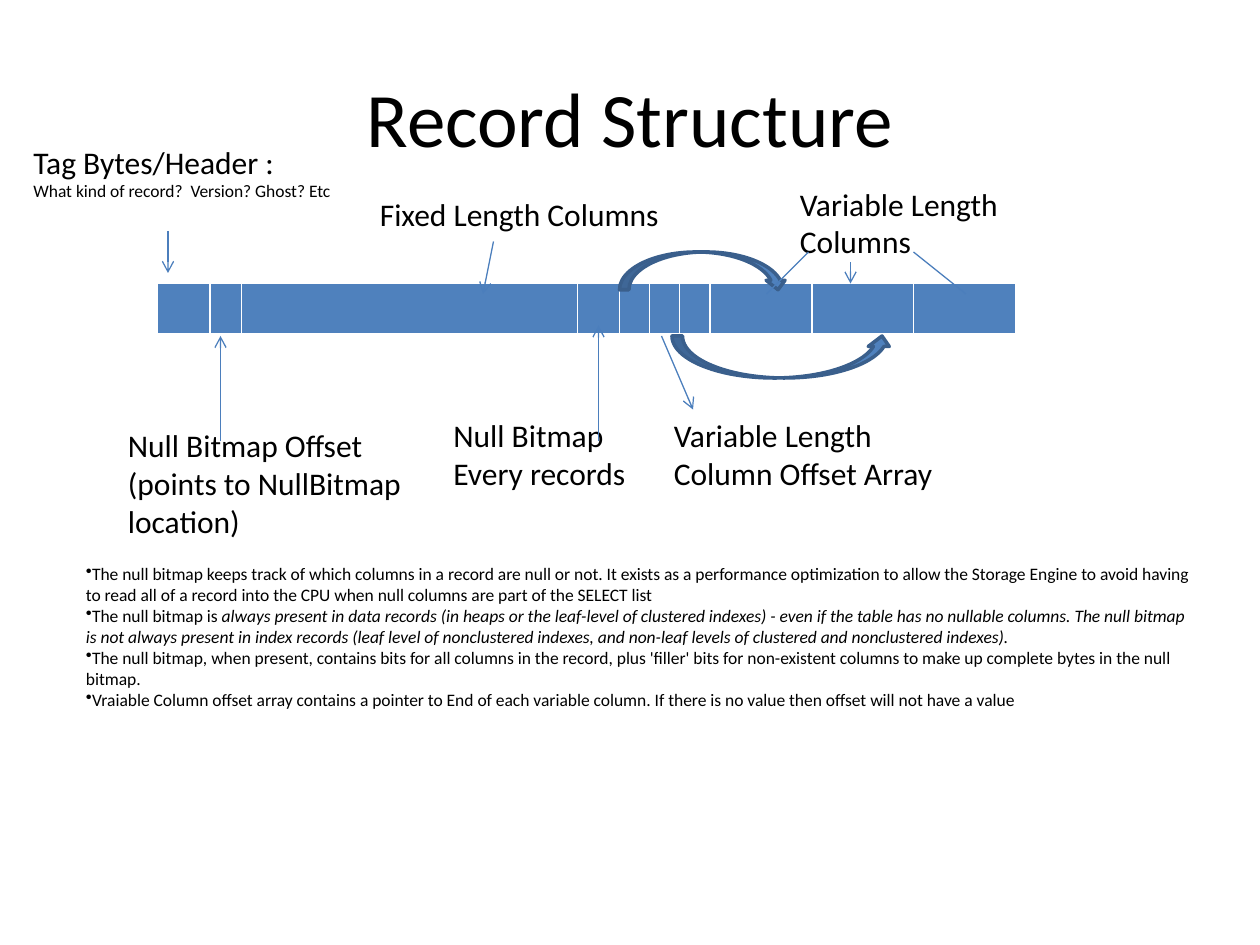
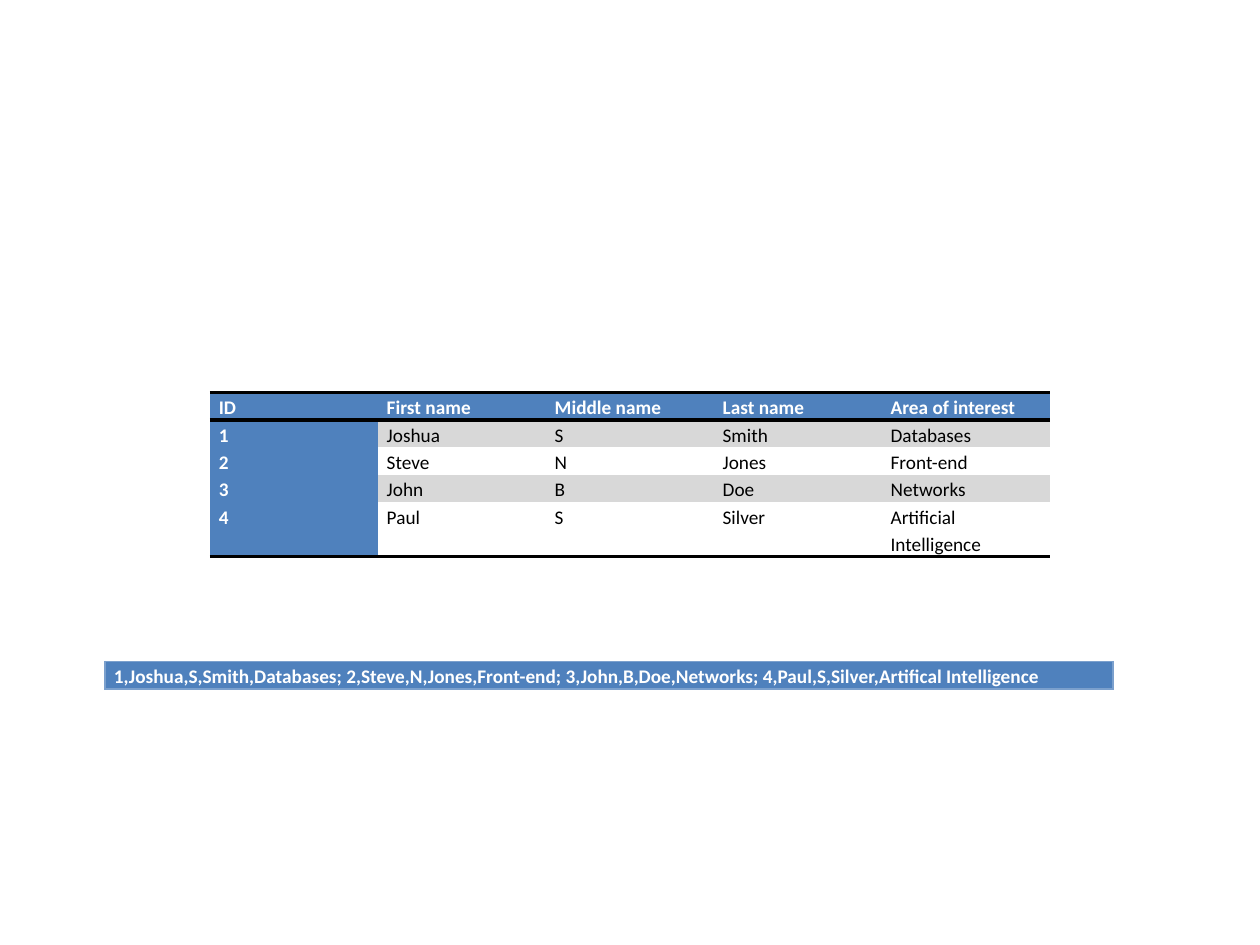
from collections import namedtuple

from lxml import etree
from pptx import Presentation
from pptx.dml.color import RGBColor
from pptx.enum.shapes import MSO_CONNECTOR, MSO_SHAPE
from pptx.enum.text import MSO_ANCHOR, MSO_AUTO_SIZE, PP_ALIGN
from pptx.oxml.ns import qn
from pptx.util import Inches, Pt

STRAIGHT = MSO_CONNECTOR.STRAIGHT
CURVED_DOWN = MSO_SHAPE.CURVED_DOWN_ARROW
CURVED_UP = MSO_SHAPE.CURVED_UP_ARROW
GROW = MSO_AUTO_SIZE.SHAPE_TO_FIT_TEXT
MIDDLE = MSO_ANCHOR.MIDDLE
CENTER = PP_ALIGN.CENTER

FONT = "Calibri"
COLORS = {
    "text": "000000", "paper": "FFFFFF", "blue": "4F81BD", "arrow": "4B7EBC",
    "outline": "3A5F8C", "band": "D8D8D8", "frame": "7BA0CD",
}

# The slide is a grid of 120 columns by 90 rows, twelve to the inch.
UNITS_PER_INCH = 12
Box = namedtuple("Box", "left top width height")
SLIDE = Box(0, 0, 120, 90)

LABELS = [
    (Box(0, 0, 31.3, 10.6),
     [("Tag Bytes/Header :", 18), ("What kind of record?  Version? Ghost? Etc", 10)]),
    (Box(9, 27, 29.4, 12.1),
     [("Null Bitmap Offset", 18), ("(points to NullBitmap", 18), ("location)", 18)]),
    (Box(40, 26, 19.7, 8.5), [("Null Bitmap", 18), ("Every records", 18)]),
    (Box(33, 5, 29.3, 4.8), [("Fixed Length Columns", 18)]),
    (Box(61, 26, 27.4, 8.5), [("Variable Length", 18), ("Column Offset Array", 18)]),
    (Box(73, 4, 21.5, 8.5), [("Variable Length", 18), ("Columns", 18)]),
]
FIELD_WIDTHS = [5, 3, 32, 4] + [2.8] * 3 + [9.7] * 3
POINTERS = [
    ((14, 9), (14, 13)), ((19, 29), (19, 19)), ((55, 29), (55, 18)),
    ((45, 10), (44, 15)), ((61, 19), (64, 26)), ((79, 12), (79, 14)),
]
PLAIN_LINES = [((85, 11), (90, 15)), ((75, 11), (71, 15))]
JUMPS = [(CURVED_DOWN, Box(57, 11, 16, 3.6)), (CURVED_UP, Box(62, 19, 21, 4))]

NOTES = [
    [("The null bitmap keeps track of which columns in a record are null or not. It exists "
      "as a performance optimization to allow the Storage Engine to avoid having to read "
      "all of a record into the CPU when null columns are part of the SELECT list", False)],
    [("The null bitmap is ", False),
     ("always present in data records (in heaps or the leaf-level of clustered indexes) - "
      "even if the table has no nullable columns. The null bitmap is not always present in "
      "index records (leaf level of nonclustered indexes, and non-leaf levels of clustered "
      "and nonclustered indexes).", True)],
    [("The null bitmap, when present, contains bits for all columns in the record, plus "
      "'filler' bits for non-existent columns to make up complete bytes in the null "
      "bitmap.", False)],
    [("Vraiable Column offset array contains a pointer to End of each variable column. If "
      "there is no value then offset will not have a value", False)],
]

PEOPLE = [
    ["ID", "First name", "Middle name", "Last name", "Area of interest"],
    ["1", "Joshua", "S", "Smith", "Databases"],
    ["2", "Steve", "N", "Jones", "Front-end"],
    ["3", "John", "B", "Doe", "Networks"],
    ["4", "Paul", "S", "Silver", "Artificial Intelligence"],
]
ROW_STORE = ("1,Joshua,S,Smith,Databases; 2,Steve,N,Jones,Front-end; "
             "3,John,B,Doe,Networks; 4,Paul,S,Silver,Artifical Intelligence")


def units(value):
    return Inches(value / UNITS_PER_INCH)


def emu(box):
    return [units(value) for value in box]


def within(outer, inner):
    """Shift a box given relative to outer onto the slide."""
    return inner._replace(left=outer.left + inner.left, top=outer.top + inner.top)


def color(name):
    return RGBColor.from_string(COLORS[name])


def set_font(para, size, name="text", bold=False):
    para.font.name = FONT
    para.font.size = Pt(size)
    para.font.bold = bold
    para.font.color.rgb = color(name)


def add_text_frame(page, box, wrap):
    frame = page.shapes.add_textbox(*emu(box)).text_frame
    frame.word_wrap = wrap
    frame.auto_size = GROW
    return frame


def paragraphs(frame, count):
    return [frame.paragraphs[0]] + [frame.add_paragraph() for _ in range(count - 1)]


def add_label(page, box, lines):
    frame = add_text_frame(page, box, False)
    for para, (text, size) in zip(paragraphs(frame, len(lines)), lines):
        para.text = text
        set_font(para, size)


def add_line(page, area, start, end, arrow=False):
    ends = [units(area[i] + point[i]) for point in (start, end) for i in (0, 1)]
    line = page.shapes.add_connector(STRAIGHT, *ends)
    line.line.color.rgb = color("arrow")
    line.line.width = Pt(0.75)
    properties = line._element.spPr
    if arrow:
        etree.SubElement(properties.find(qn("a:ln")), qn("a:tailEnd"), type="arrow")
    etree.SubElement(properties, qn("a:effectLst"))


def add_jump(page, kind, box):
    jump = page.shapes.add_shape(kind, *emu(box))
    jump.shadow.inherit = False
    jump.fill.solid()
    jump.fill.fore_color.rgb = color("blue")
    jump.line.color.rgb = color("outline")
    jump.line.width = Pt(2)


def add_grid(page, box, rows, widths):
    grid = page.shapes.add_table(rows, len(widths), *emu(box)).table
    grid.first_row = grid.horz_banding = False
    for column, width in zip(grid.columns, widths):
        column.width = units(width)
    return grid


def style_cell(cell, fill, borders):
    """Fill the cell and draw borders, a dict of side to (colour, points)."""
    if fill:
        cell.fill.solid()
        cell.fill.fore_color.rgb = color(fill)
    else:
        cell.fill.background()
    properties = cell._tc.get_or_add_tcPr()
    for index, side in enumerate("LRTB"):
        name, points = borders.get(side, (None, 0))
        edge = etree.Element(qn(f"a:ln{side}"), w=str(Pt(points)))
        if name:
            solid = etree.SubElement(edge, qn("a:solidFill"))
            etree.SubElement(solid, qn("a:srgbClr"), val=COLORS[name])
        else:
            etree.SubElement(edge, qn("a:noFill"))
        properties.insert(index, edge)


def write_cell(cell, text, name, bold):
    cell.margin_left = cell.margin_right = Inches(0.07)
    cell.margin_top = cell.margin_bottom = 0
    para = cell.text_frame.paragraphs[0]
    para.text = text
    para.line_spacing = 1.15
    set_font(para, 11, name, bold)


def place_title(page, box, text):
    title = page.shapes.title
    title.left, title.top, title.width, title.height = emu(box)
    title.text_frame.vertical_anchor = MIDDLE
    para = title.text_frame.paragraphs[0]
    para.text = text
    para.alignment = CENTER
    set_font(para, 44)


def draw_record(page, area):
    bar = within(area, Box(13, 14, sum(FIELD_WIDTHS), 4.92))
    record = add_grid(page, bar, 1, FIELD_WIDTHS)
    edges = {"L": ("paper", 1), "R": ("paper", 1), "T": ("paper", 1), "B": ("paper", 3)}
    for cell in record.iter_cells():
        style_cell(cell, "blue", edges)
    for box, lines in LABELS:
        add_label(page, within(area, box), lines)
    for start, end in POINTERS:
        add_line(page, area, start, end, arrow=True)
    for kind, box in JUMPS:
        add_jump(page, kind, within(area, box))
    for start, end in PLAIN_LINES:
        add_line(page, area, start, end)


def write_notes(page, box):
    frame = add_text_frame(page, box, True)
    for para, spans in zip(paragraphs(frame, len(NOTES)), NOTES):
        etree.SubElement(para._p.get_or_add_pPr(), qn("a:buChar"), char="•")
        set_font(para, 10)
        for text, italic in spans:
            span = para.add_run()
            span.text = text
            if italic:
                span.font.italic = True


def draw_people(page, box):
    count = len(PEOPLE[0])
    people = add_grid(page, box, len(PEOPLE), [box.width / count] * count)
    rule = ("text", 2.25)
    last = len(PEOPLE) - 1
    for row, values in enumerate(PEOPLE):
        borders = {}
        if row <= 1:
            borders["T"] = rule
        if row in (0, last):
            borders["B"] = rule
        for column, text in enumerate(values):
            heading = row == 0 or column == 0
            fill = "blue" if heading else "band" if row % 2 else None
            cell = people.cell(row, column)
            style_cell(cell, fill, borders)
            write_cell(cell, text, "paper" if heading else "text", heading)


def draw_row_store(page, box):
    cell = add_grid(page, box, 1, [box.width]).cell(0, 0)
    style_cell(cell, "blue", dict.fromkeys("LRTB", ("frame", 1)))
    write_cell(cell, ROW_STORE, "paper", True)


def build_record_slide(deck):
    page = deck.slides.add_slide(deck.slide_layouts.get_by_name("Title Only"))
    place_title(page, Box(6, 3.6, 108, 15), "Record Structure")
    draw_record(page, Box(2, 13, 116, 39))
    write_notes(page, Box(7, 53, 108, 15.4))


def build_table_slide(deck):
    page = deck.slides.add_slide(deck.slide_layouts.get_by_name("Blank"))
    draw_people(page, Box(20, 37.4, 80, 13))
    draw_row_store(page, Box(10, 63, 96, 2.5))


def main():
    deck = Presentation()
    deck.slide_width, deck.slide_height = units(SLIDE.width), units(SLIDE.height)
    build_record_slide(deck)
    build_table_slide(deck)
    deck.save("out.pptx")


if __name__ == "__main__":
    main()
